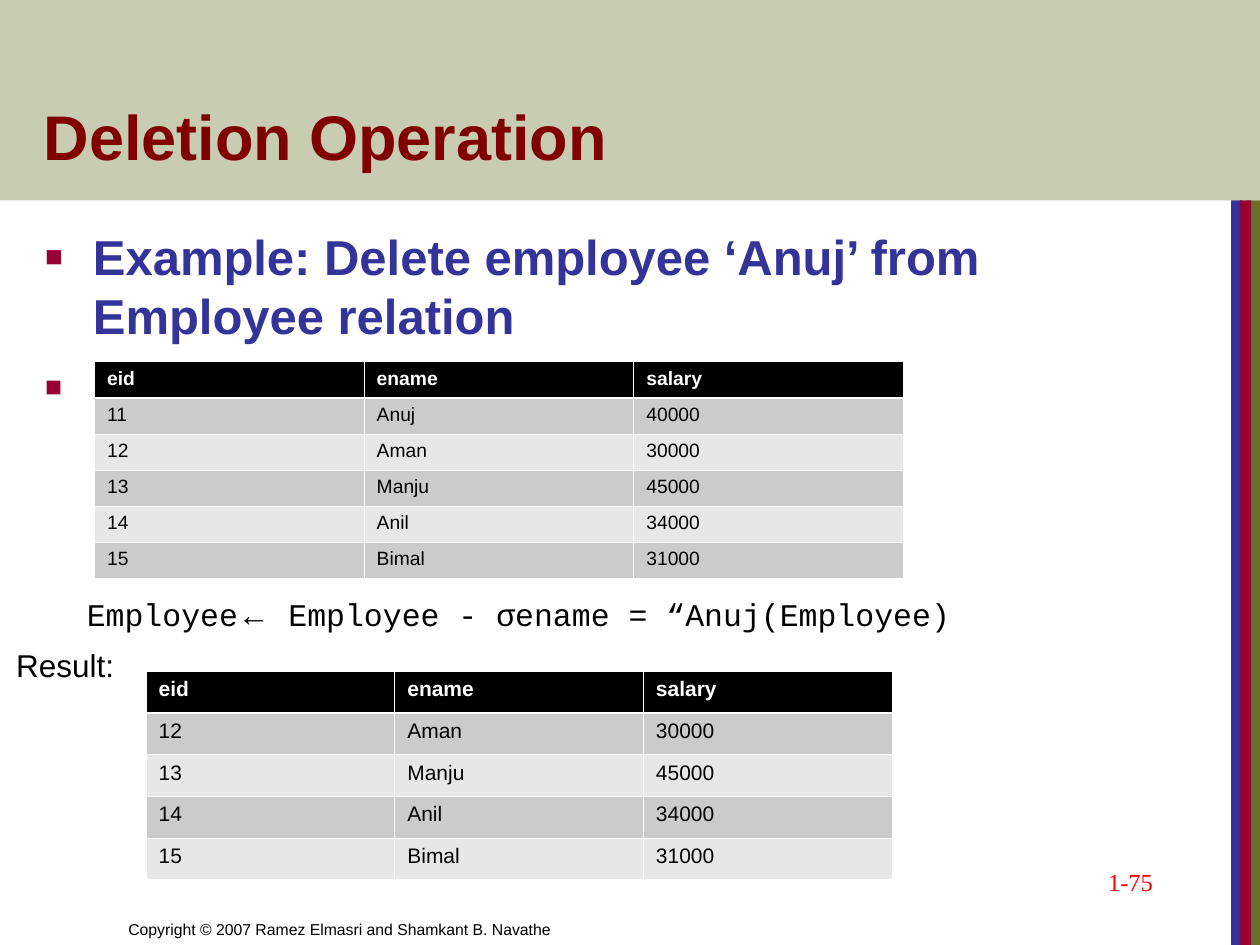
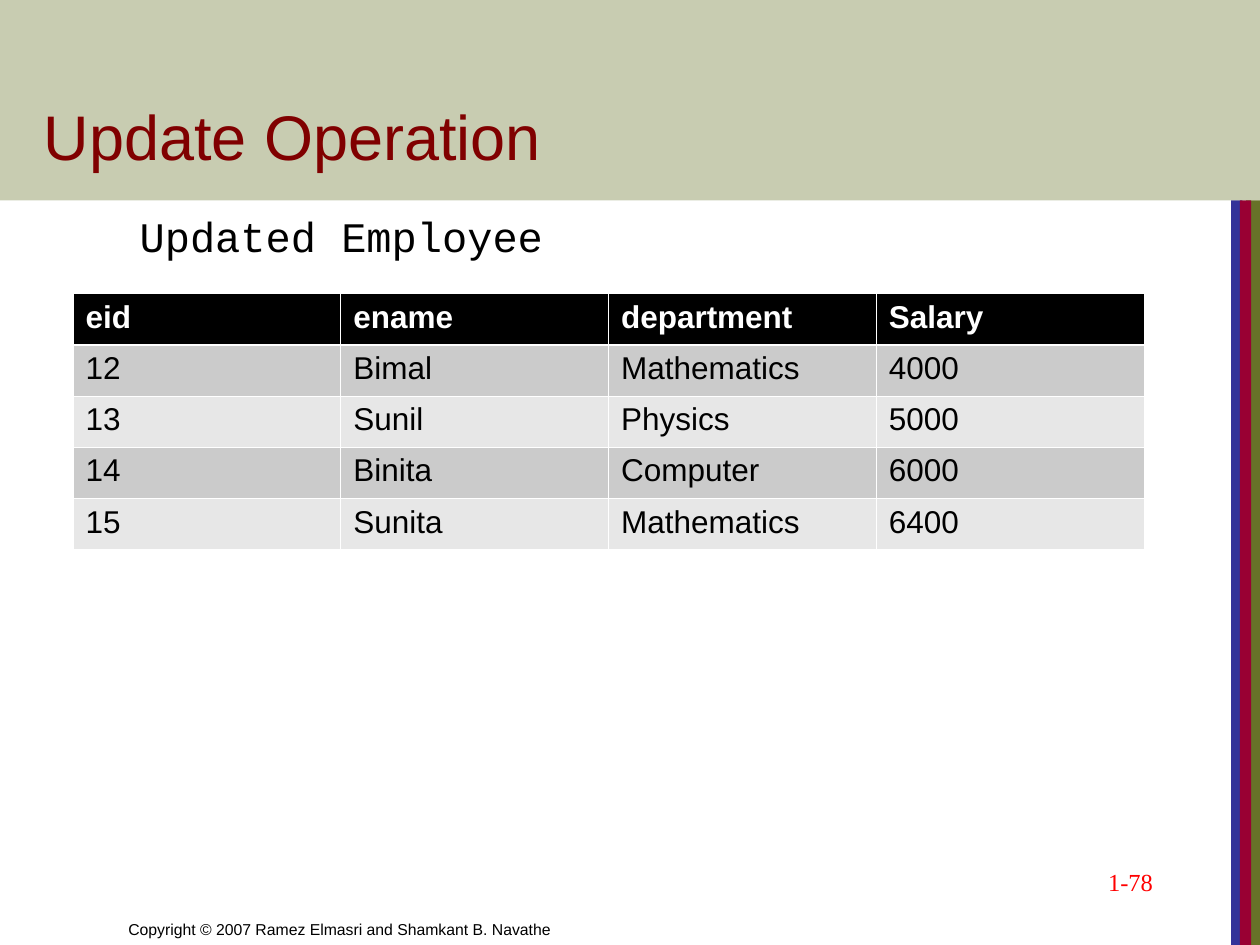
from lxml.etree import SubElement
from pptx import Presentation
from pptx.dml.color import RGBColor as RGB
from pptx.enum.shapes import MSO_SHAPE as SHAPE
from pptx.enum.text import MSO_ANCHOR as ANCHOR, MSO_AUTO_SIZE as AUTO, PP_ALIGN as ALIGN
from pptx.oxml.ns import qn
from pptx.util import Inches, Pt


class Theme:
    olive, navy, crimson = "677228", "333399", "990033"
    maroon, red, black, white = "800000", "FF0000", "000000", "FFFFFF"
    row_fills = ("E7E7E7", "CBCBCB")
    sans, mono, serif = "Arial", "Courier New", "Times New Roman"
    title, body, subtitle, text, number, footer = 36, 28, 24, 18, 14, 9
    band_alpha, band_height = 36000, 1.59
    thin, thick = 0.45, 1.47


def add_text(s, box, runs, size, color=Theme.black, font=Theme.sans, bold=False,
             anchor=ANCHOR.TOP, align=ALIGN.LEFT, wrap=True):
    tf = s.shapes.add_textbox(*map(Inches, box)).text_frame
    tf.word_wrap = wrap
    tf.auto_size = AUTO.NONE if wrap else AUTO.SHAPE_TO_FIT_TEXT
    tf.vertical_anchor = anchor
    p = tf.paragraphs[0]
    p.alignment = align
    for text, *own_font in runs:
        r = p.add_run()
        r.text = text
        r.font.size, r.font.bold = Pt(size), bold
        r.font.name = own_font[0] if own_font else font
        r.font.color.rgb = RGB.from_string(color)
    return tf


def add_grid(s, box, rows, size):
    x, y, w, h = map(Inches, box)
    table = s.shapes.add_table(len(rows), len(rows[0]), x, y, w, h).table
    for row in table.rows:
        row.height = h // len(rows)
    for i, values in enumerate(rows):
        for j, value in enumerate(values):
            cell = table.cell(i, j)
            tc_pr = cell._tc.get_or_add_tcPr()
            for side in "LRTB":
                heavy = (i, side) in ((0, "B"), (1, "T"))
                width = Pt(Theme.thick if heavy else Theme.thin)
                ln = SubElement(tc_pr, qn(f"a:ln{side}"), w=str(width))
                SubElement(SubElement(ln, qn("a:solidFill")), qn("a:srgbClr"), val=Theme.white)
            cell.fill.solid()
            cell.fill.fore_color.rgb = RGB.from_string(Theme.row_fills[i % 2] if i else Theme.black)
            r = cell.text_frame.paragraphs[0].add_run()
            r.text = value
            r.font.name, r.font.size, r.font.bold = Theme.sans, Pt(size), i == 0
            r.font.color.rgb = RGB.from_string(Theme.black if i else Theme.white)


prs = Presentation()
prs.slide_width, prs.slide_height = Inches(10), Inches(7.5)

stripe_height = 7.5 - Theme.band_height
bars = [
    (9.89, Theme.band_height, 0.11, stripe_height, Theme.olive),
    (9.77, Theme.band_height, 0.09, stripe_height, Theme.navy),
    (9.84, Theme.band_height, 0.09, stripe_height, Theme.crimson),
    (0, 0, 10, Theme.band_height, Theme.olive),
]
table_marker = (0.37, 3.02, 0.11, 0.11, Theme.crimson)
slides = []
for title, bold, number, markers in [("Deletion Operation", True, "1-75", [table_marker]),
                                     ("Update Operation", False, "1-78", [])]:
    s = prs.slides.add_slide(prs.slide_layouts[6])
    for *box, color in markers + bars:
        sp = s.shapes.add_shape(SHAPE.RECTANGLE, *map(Inches, box))
        sp.shadow.inherit = False
        sp.line.fill.background()
        sp.fill.solid()
        sp.fill.fore_color.rgb = RGB.from_string(color)
    band_color = sp._element.spPr.find(qn("a:solidFill"))[0]
    SubElement(band_color, qn("a:alpha"), val=str(Theme.band_alpha))
    add_text(s, (0.92, 7, 4.92, 0.5),
             [("Copyright © 2007 Ramez Elmasri and Shamkant B. Navathe",)],
             Theme.footer, anchor=ANCHOR.BOTTOM)
    add_text(s, (0.25, 0.33, 8.53, 1.09), [(title,)], Theme.title, Theme.maroon,
             bold=bold, anchor=ANCHOR.BOTTOM)
    add_text(s, (7.17, 6.83, 2.08, 0.5), [(number,)], Theme.number, Theme.red,
             Theme.serif, align=ALIGN.RIGHT)
    slides.append(s)

deletion, update = slides

tf = add_text(deletion, (0.26, 1.75, 9.07, 5.33),
              [("Example: Delete employee ‘Anuj’ from Employee relation",)],
              Theme.body, Theme.navy, bold=True)
tf.margin_right = 0
p = tf.paragraphs[0]
p.space_before, p.line_spacing = Pt(7), 1.0
p_pr = p._p.get_or_add_pPr()
p_pr.set("marL", str(Inches(0.38)))
p_pr.set("indent", str(-Inches(0.38)))
SubElement(SubElement(p_pr, qn("a:buClr")), qn("a:srgbClr"), val=Theme.crimson)
SubElement(p_pr, qn("a:buSzPct"), val="60000")
SubElement(p_pr, qn("a:buFont"), typeface=Theme.sans)
SubElement(p_pr, qn("a:buChar"), char="■")

header = ("eid", "ename", "salary")
deleted = ("11", "Anuj", "40000")
remaining = [
    ("12", "Aman", "30000"),
    ("13", "Manju", "45000"),
    ("14", "Anil", "34000"),
    ("15", "Bimal", "31000"),
]
add_grid(deletion, (0.75, 2.87, 6.42, 1.72), [header, deleted, *remaining], 11)
add_text(deletion, (0.59, 4.67, 7.05, 0.4),
         [("Employee",), ("←", Theme.sans), (" Employee - σename = “Anuj(Employee)",)],
         Theme.text, font=Theme.mono, wrap=False)
add_grid(deletion, (1.16, 5.33, 5.92, 1.65), [header, *remaining], 12)
add_text(deletion, (0.03, 5.08, 1.04, 0.4), [("Result:",)], Theme.text)

updated = [
    ("eid", "ename", "department", "Salary"),
    ("12", "Bimal", "Mathematics", "4000"),
    ("13", "Sunil", "Physics", "5000"),
    ("14", "Binita", "Computer", "6000"),
    ("15", "Sunita", "Mathematics", "6400"),
]
add_grid(update, (0.58, 2.33, 8.5, 2.03), updated, Theme.text)
add_text(update, (1.01, 1.62, 3.4, 0.5), [("Updated Employee",)], Theme.subtitle,
         font=Theme.mono, wrap=False)

prs.save("out.pptx")
